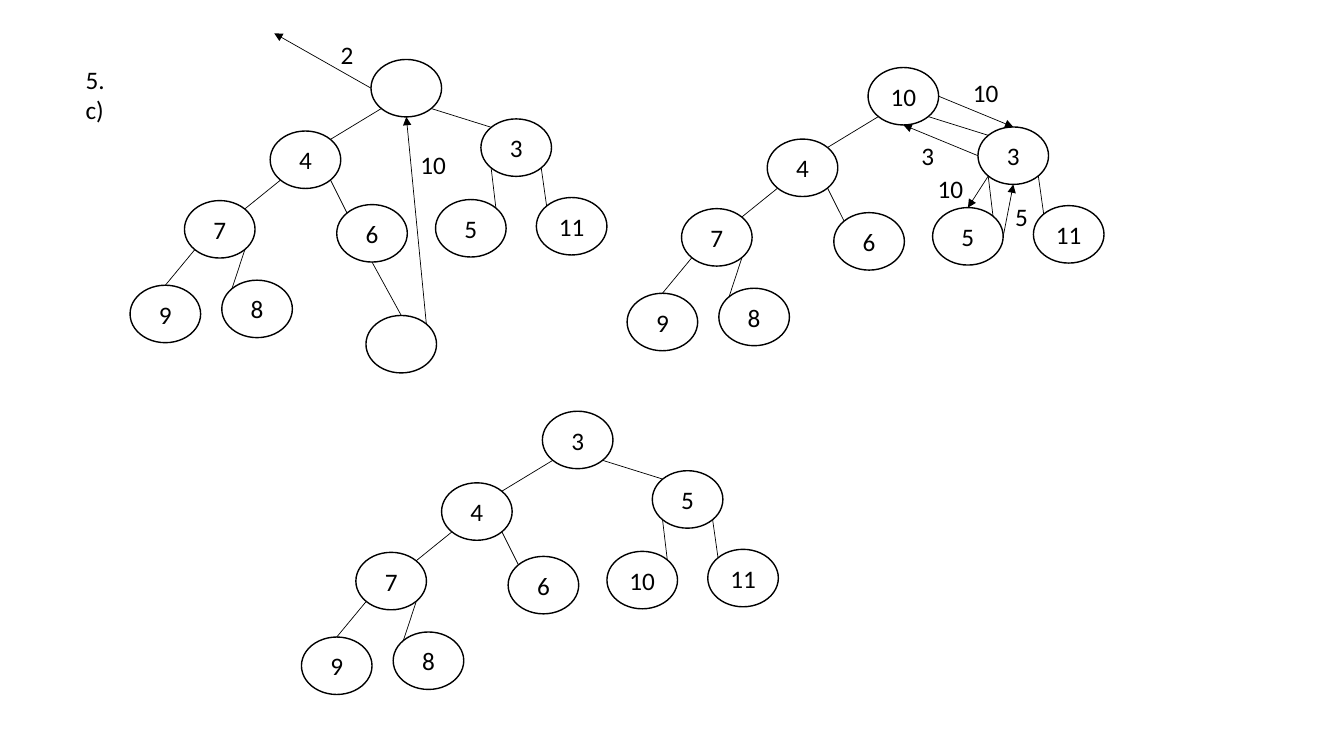
from lxml import etree
from pptx import Presentation
from pptx import util as u
from pptx.dml.color import RGBColor
from pptx.enum import shapes, text
from pptx.oxml.ns import qn

COLORS = {"ink": RGBColor.from_string("000000"), "node": RGBColor.from_string("FFFFFF")}
CELL = u.Inches(0.1)  # every position below counts cells of this grid
NODE_W, NODE_H = 7, 5.7
DIAG = 0.71  # share of the radius at which the diagonal sites sit

# Node places relative to the root, the same in every heap
SLOTS = {
    "root": (0, 0), "left": (-10, 7.1), "right": (10.9, 5.9),
    "left-left": (-18.5, 14), "left-right": (-3.4, 14.4),
    "right-left": (6.4, 13.9), "right-right": (16.4, 13.7),
    "leaf-1": (-23.9, 22.4), "leaf-2": (-14.8, 21.9), "last": (-0.5, 25.4),
}
SITES = {
    "top": (0, -1), "bottom": (0, 1), "west": (-1, 0), "east": (1, 0),
    "nw": (-DIAG, -DIAG), "ne": (DIAG, -DIAG), "sw": (-DIAG, DIAG), "se": (DIAG, DIAG),
}
# parent, site on it, child, site on it
EDGES = [
    ("root", "sw", "left", "ne"), ("root", "se", "right", "nw"),
    ("left", "sw", "left-left", "ne"), ("left", "se", "left-right", "nw"),
    ("right", "sw", "right-left", "ne"), ("right", "se", "right-right", "nw"),
    ("left-left", "sw", "leaf-1", "top"), ("left-left", "se", "leaf-2", "nw"),
    ("left-right", "bottom", "last", "top"),
]
# Keys follow the order of SLOTS; arrows run from site to site
HEAPS = [
    {"origin": (36.8, 5.9), "keys": ["", 4, 3, 7, 6, 5, 11, 9, 8, ""],
     "arrows": [("last", "ne", "root", "bottom")]},
    {"origin": (86.1, 6.7), "keys": [10, 4, 3, 7, 6, 5, 11, 9, 8],
     "arrows": [("root", "east", "right", "top"), ("right", "west", "root", "bottom"),
                ("right", "sw", "right-left", "top"),
                ("right-left", "east", "right", "bottom")]},
    {"origin": (53.8, 40.8), "keys": [3, 4, 5, 7, 6, 10, 11, 9, 8], "arrows": []},
]
REMOVED_ROOT_END = (27.2, 3.3)
# text, left, top, width, height
LABELS = [
    ("5. c)", 7.5, 5.9, 5.4, 7.1), ("2", 32.8, 3.4, 3.5, 4),
    ("10", 40.7, 14.3, 5.1, 4), ("10", 95.5, 7.2, 5.1, 4),
    ("3", 90.4, 13.4, 5.1, 4), ("10", 92, 16.7, 5.1, 4), ("5", 99.7, 19.5, 5.1, 4),
]

prs = Presentation()
prs.slide_width, prs.slide_height = u.Inches(13.33), u.Inches(7.5)
slide = prs.slides.add_slide(prs.slide_layouts[6])


def write(shape, words, align):
    """Put one styled line of text in a shape."""
    shape.text_frame.word_wrap = True
    paragraph = shape.text_frame.paragraphs[0]
    paragraph.text = words
    paragraph.alignment = align
    paragraph.font.name, paragraph.font.size = "Calibri", u.Pt(18)
    paragraph.font.color.rgb = COLORS["ink"]


def connect(start, end, arrow=False):
    """Draw a thin line between two grid points, with an arrowhead if asked."""
    ends = [round(c * CELL) for c in (*start, *end)]
    line = slide.shapes.add_connector(shapes.MSO_CONNECTOR.STRAIGHT, *ends)
    line.line.color.rgb, line.line.width = COLORS["ink"], u.Pt(0.5)
    if arrow:
        etree.SubElement(line.line._get_or_add_ln(), qn("a:tailEnd"), type="triangle")
    etree.SubElement(line._element.spPr, qn("a:effectLst"))


for heap in HEAPS:
    root_x, root_y = heap["origin"]
    points = {}
    for (slot, (dx, dy)), key in zip(SLOTS.items(), heap["keys"]):
        x, y = root_x + dx, root_y + dy
        node = slide.shapes.add_shape(
            shapes.MSO_SHAPE.OVAL, *[round(c * CELL) for c in (x, y, NODE_W, NODE_H)])
        node.shadow.inherit = False
        node.fill.solid()
        node.fill.fore_color.rgb = COLORS["node"]
        node.line.color.rgb, node.line.width = COLORS["ink"], u.Pt(1)
        node.text_frame.vertical_anchor = text.MSO_ANCHOR.MIDDLE
        write(node, str(key), text.PP_ALIGN.CENTER)
        for site, (sx, sy) in SITES.items():
            points[slot, site] = (x + NODE_W * (1 + sx) / 2, y + NODE_H * (1 + sy) / 2)

    for parent, parent_site, child, child_site in EDGES:
        if (child, child_site) in points:
            connect(points[child, child_site], points[parent, parent_site])
    for source, source_site, target, target_site in heap["arrows"]:
        connect(points[source, source_site], points[target, target_site], arrow=True)
    if heap is HEAPS[0]:
        connect(points["root", "west"], REMOVED_ROOT_END, arrow=True)

for words, *box in LABELS:
    label = slide.shapes.add_textbox(*[round(c * CELL) for c in box])
    write(label, words, text.PP_ALIGN.LEFT)

prs.save("out.pptx")
